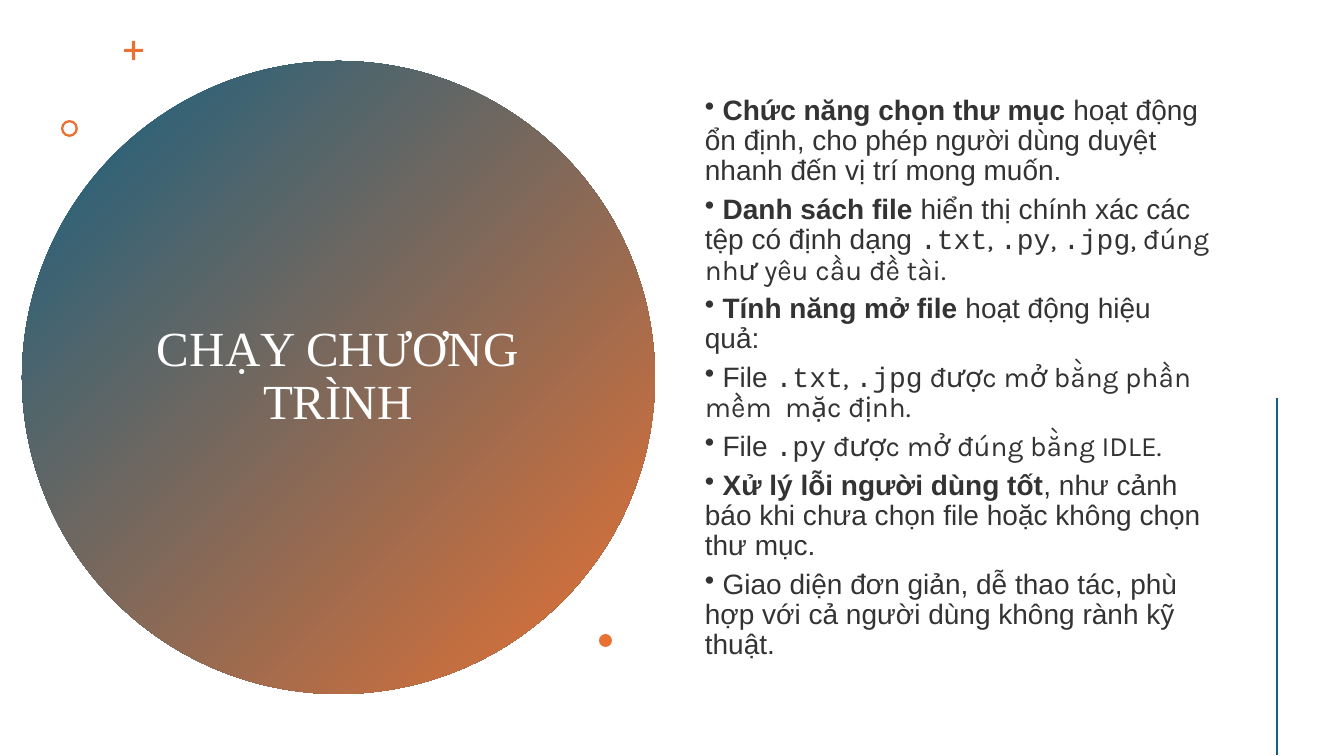
from typing import NamedTuple

from lxml.etree import SubElement
from pptx import Presentation
from pptx.dml.color import RGBColor
from pptx.enum.shapes import MSO_CONNECTOR as Connector, MSO_SHAPE as Preset
from pptx.enum.text import MSO_ANCHOR as Anchor, PP_ALIGN as Align
from pptx.oxml.ns import qn
from pptx.util import Pt

SCALE = 914400 / 100.8
BLUE = RGBColor(0x15, 0x60, 0x82)
ORANGE = RGBColor(0xE9, 0x71, 0x32)
WHITE = RGBColor(0xFF, 0xFF, 0xFF)
CHARCOAL = RGBColor(0x33, 0x33, 0x33)


class Frame(NamedTuple):
    left: int
    top: int
    width: int
    height: int


class Ornament(NamedTuple):
    preset: Preset
    frame: Frame
    adjustments: tuple[float, ...] = ()


class Span(NamedTuple):
    text: str
    font: str = "Arial"
    bold: bool = False


def bold(text: str) -> Span:
    return Span(text, bold=True)


def code(text: str) -> Span:
    return Span(text, "Courier New")


def karla(text: str) -> Span:
    return Span(text, "Karla")


CIRCLE = Ornament(Preset.OVAL, Frame(22, 61, 633, 633))
PLUS = Ornament(Preset.CROSS, Frame(124, 41, 19, 19), (0.42,))
RING = Ornament(Preset.DONUT, Frame(61, 120, 17, 17), (0.14,))
DOT = Ornament(Preset.OVAL, Frame(599, 634, 13, 13))

TITLE = [[Span("CHẠY CHƯƠNG TRÌNH", "Times New Roman")]]
FINDINGS = [
    [bold(" Chức năng chọn thư mục"),
     Span(" hoạt động ổn định, cho phép người dùng duyệt nhanh đến vị trí mong muốn.")],
    [bold(" Danh sách file"), Span(" hiển thị chính xác các tệp có định dạng "),
     code(".txt"), karla(", "), code(".py"), karla(", "), code(".jpg"),
     karla(", đúng như yêu cầu đề tài.")],
    [bold(" Tính năng mở file"), Span(" hoạt động hiệu quả:")],
    [Span(" File "), code(".txt"), karla(", "), code(".jpg"),
     karla(" được mở bằng phần mềm  mặc định.")],
    [Span(" File "), code(".py"), karla(" được mở đúng bằng IDLE.")],
    [bold(" Xử lý lỗi người dùng tốt"),
     Span(", như cảnh báo khi chưa chọn file hoặc không chọn thư mục.")],
    [Span(" Giao diện đơn giản, dễ thao tác, phù hợp với cả người dùng không rành kỹ thuật.")],
]


def emu(px: int) -> int:
    return round(px * SCALE)


def apply(target, values: dict) -> None:
    for name, value in values.items():
        setattr(target, name, value)


def add_ornament(page, ornament: Ornament):
    shape = page.shapes.add_shape(ornament.preset, *map(emu, ornament.frame))
    shape.shadow.inherit = False
    shape.line.fill.background()
    shape.fill.solid()
    shape.fill.fore_color.rgb = ORANGE
    for index, value in enumerate(ornament.adjustments):
        shape.adjustments[index] = value
    return shape


def add_circle(page) -> None:
    fill = add_ornament(page, CIRCLE).fill
    fill.gradient()
    fill.gradient_angle = 315
    for stop, position, color in zip(fill.gradient_stops, (0, 1), (BLUE, ORANGE)):
        stop.position = position
        stop.color.rgb = color


def add_text(page, frame: Frame, paragraphs: list[list[Span]], size: int,
             color: RGBColor, layout: dict, bullet: str = "") -> None:
    box = page.shapes.add_textbox(*map(emu, frame)).text_frame
    apply(box, {"word_wrap": True, "vertical_anchor": Anchor.MIDDLE})
    for index, spans in enumerate(paragraphs):
        para = box.add_paragraph() if index else box.paragraphs[0]
        apply(para, {"line_spacing": 0.9, **layout})
        if bullet:
            SubElement(para._p.get_or_add_pPr(), qn("a:buChar"), char=bullet)
        for span in spans:
            run = para.add_run()
            run.text = span.text
            apply(run.font, {"name": span.font, "size": Pt(size), "bold": span.bold})
            run.font.color.rgb = color


def add_rule(page, x: int, top: int, bottom: int) -> None:
    rule = page.shapes.add_connector(
        Connector.STRAIGHT, emu(x), emu(top), emu(x), emu(bottom))
    rule.line.color.rgb = BLUE
    rule.line.width = Pt(2)
    SubElement(rule._element.spPr, qn("a:effectLst"))


def main() -> None:
    deck = Presentation()
    apply(deck, {"slide_width": emu(1344), "slide_height": emu(756)})
    page = deck.slides.add_slide(deck.slide_layouts[6])
    add_circle(page)
    add_text(page, Frame(137, 142, 402, 471), TITLE, 35, WHITE,
             {"alignment": Align.CENTER})
    for ornament in (PLUS, RING, DOT):
        add_ornament(page, ornament)
    add_text(page, Frame(695, 57, 526, 643), FINDINGS, 20, CHARCOAL,
             {"alignment": Align.LEFT, "space_after": Pt(6)}, "•")
    add_rule(page, 1277, 398, 755)
    deck.save("out.pptx")


if __name__ == "__main__":
    main()
